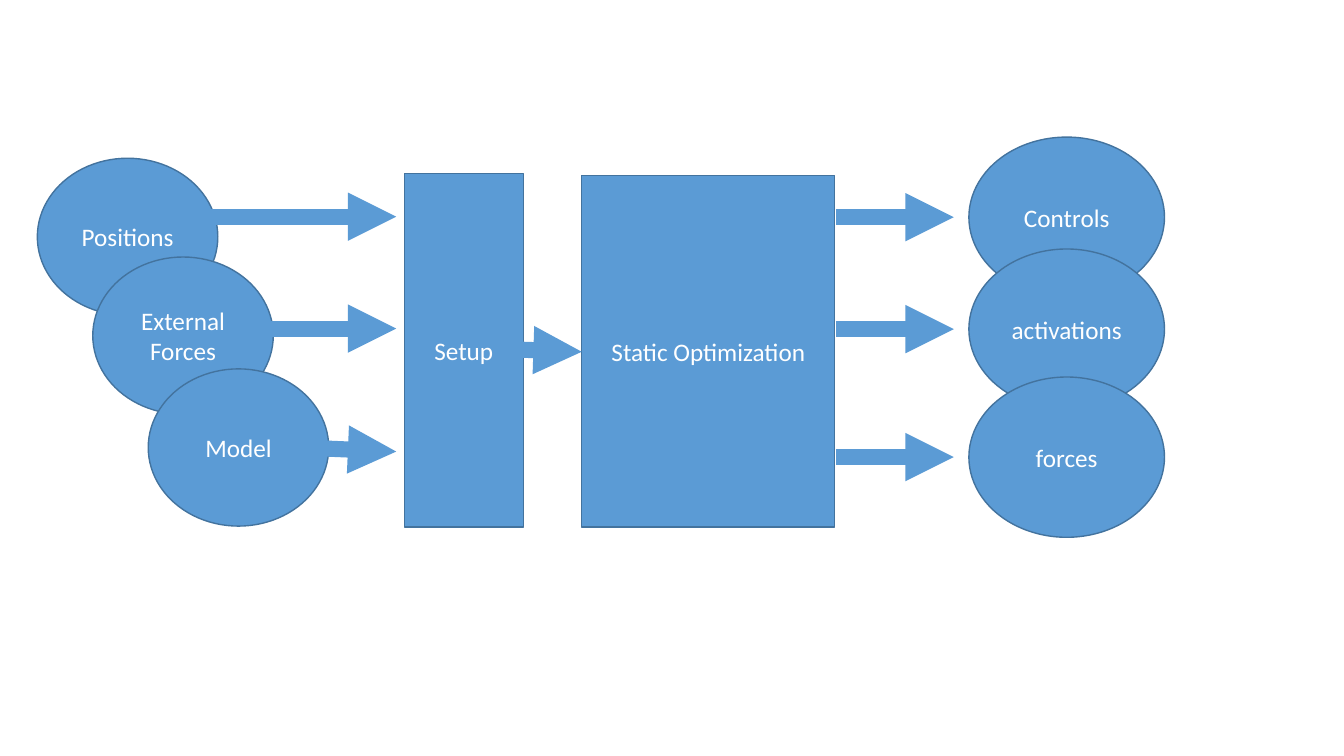
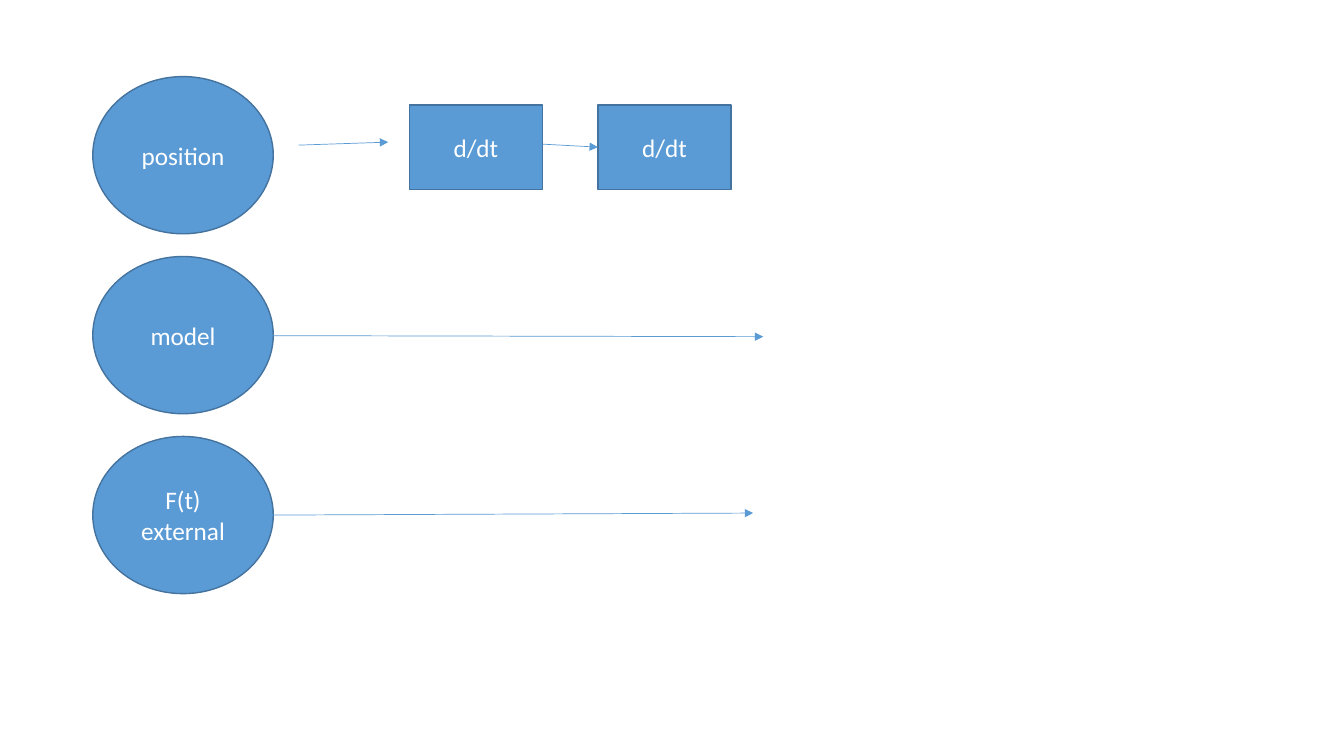
from pptx import Presentation
from pptx.dml.color import RGBColor
from pptx.enum.shapes import MSO_CONNECTOR, MSO_SHAPE
from pptx.enum.text import MSO_ANCHOR, PP_ALIGN
from pptx.oxml.ns import qn
from pptx.util import Inches, Pt
from lxml.etree import SubElement

BLUE, EDGE, WHITE = (RGBColor.from_string(c) for c in ("5B9BD5", "43739E", "FFFFFF"))
THICK, THIN = 11.5, 0.5
OVAL, BOX = MSO_SHAPE.OVAL, MSO_SHAPE.RECTANGLE


def add_node(s, kind, text, x, y, w, h):
    sp = s.shapes.add_shape(kind, Inches(x), Inches(y), Inches(w), Inches(h))
    sp.shadow.inherit = False
    sp.fill.solid()
    sp.fill.fore_color.rgb = BLUE
    sp.line.color.rgb = EDGE
    sp.line.width = Pt(1)
    tf = sp.text_frame
    tf.word_wrap = True
    tf.vertical_anchor = MSO_ANCHOR.MIDDLE
    p = tf.paragraphs[0]
    p.alignment = PP_ALIGN.CENTER
    r = p.add_run()
    r.text = text
    r.font.name = "Calibri"
    r.font.size = Pt(18)
    r.font.color.rgb = WHITE


def add_arrow(s, x1, y1, x2, y2, width):
    cn = s.shapes.add_connector(
        MSO_CONNECTOR.STRAIGHT, Inches(x1), Inches(y1), Inches(x2), Inches(y2))
    cn.line.color.rgb = BLUE
    cn.line.width = Pt(width)
    SubElement(cn.line._get_or_add_ln(), qn("a:tailEnd"), type="triangle")
    SubElement(cn._element.spPr, qn("a:effectLst"))


prs = Presentation()
prs.slide_width, prs.slide_height = Inches(13.33), Inches(7.5)
blank = prs.slide_layouts[6]
IN_W, IN_H = 1.79, 1.56

# Slide 1: static optimization flow
s = prs.slides.add_slide(blank)

# Inputs, stepping right
for i, (text, y) in enumerate([("Positions", 1.57), ("External Forces", 2.55), ("Model", 3.66)]):
    add_node(s, OVAL, text, 0.37 + 0.55 * i, y, IN_W, IN_H)

# Processing steps
add_node(s, BOX, "Static Optimization", 5.77, 1.74, 2.51, 3.49)
add_node(s, BOX, "Setup", 4.01, 1.72, 1.18, 3.51)

# Arrows into and between the steps
for x1, y1, x2, y2 in [(1.98, 2.15, 3.93, 2.15), (2.44, 3.26, 3.93, 3.26),
                       (2.99, 4.44, 3.93, 4.48), (5.18, 3.47, 5.77, 3.49)]:
    add_arrow(s, x1, y1, x2, y2, THICK)

# Outputs, each with its arrow at mid-height
OUT_H = 1.59
for text, y in [("Controls", 1.36), ("activations", 2.47), ("forces", 3.74)]:
    mid = y + OUT_H / 2
    add_arrow(s, 8.29, mid, 9.46, mid, THICK)
    add_node(s, OVAL, text, 9.61, y, 1.94, OUT_H)

# Slide 2: derivatives of the inputs
s = prs.slides.add_slide(blank)

# Inputs in an even column
for i, text in enumerate(["position", "model", "F(t) external"]):
    add_node(s, OVAL, text, 0.92, 0.76 + 1.785 * i, IN_W, IN_H)

# Two differentiation steps
for x in (4.06, 5.93):
    add_node(s, BOX, "d/dt", x, 1.04, 1.32, 0.84)

# Thin arrows
for x1, y1, x2, y2 in [(2.96, 1.44, 3.85, 1.41), (5.38, 1.43, 5.93, 1.46),
                       (2.71, 3.33, 7.57, 3.34), (2.71, 5.11, 7.47, 5.09)]:
    add_arrow(s, x1, y1, x2, y2, THIN)

prs.save("out.pptx")
